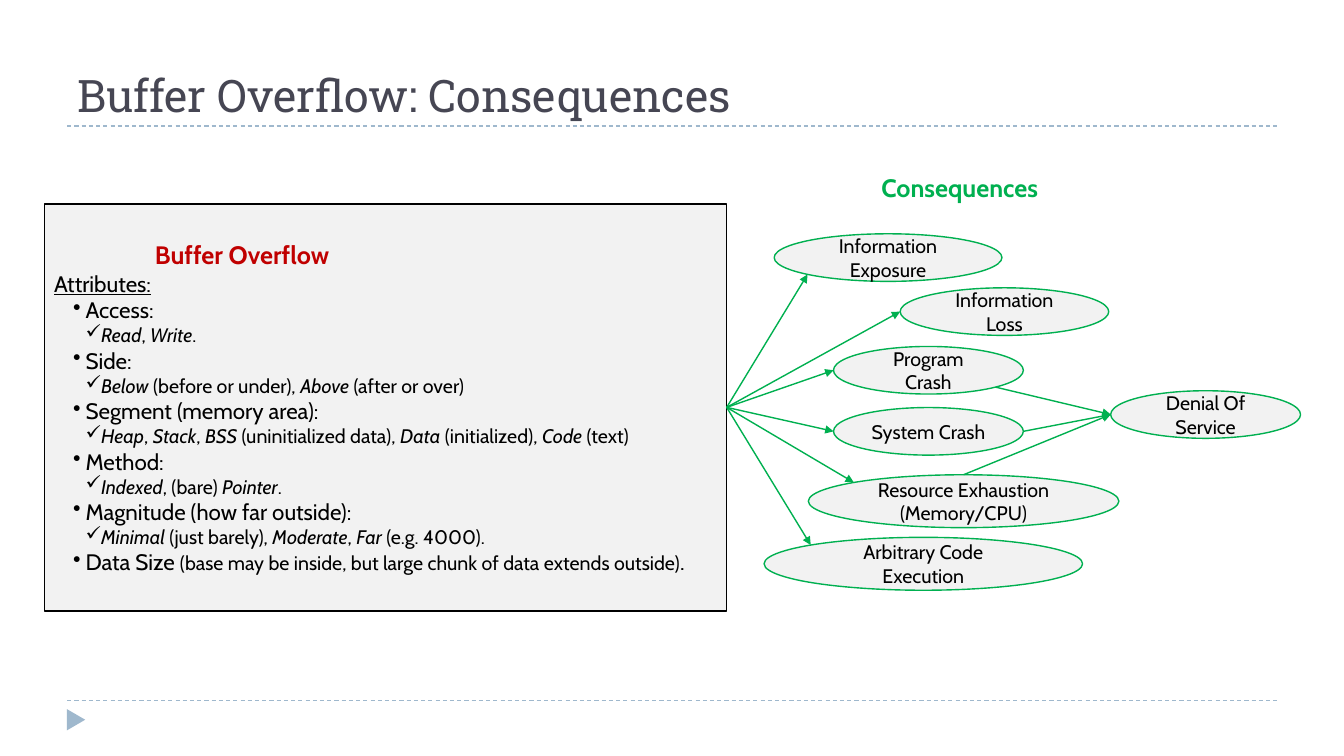
"""Build the slide on the attributes and consequences of a buffer overflow."""
from math import cos, radians, sin

from lxml.etree import SubElement
from pptx import Presentation
from pptx.dml.color import RGBColor
from pptx.enum.dml import MSO_LINE
from pptx.enum.shapes import MSO_CONNECTOR, MSO_SHAPE
from pptx.enum.text import MSO_ANCHOR, PP_ALIGN
from pptx.oxml.ns import qn
from pptx.util import Pt

COLORS = {
    "title": "464653", "rule": "9FB8CD", "panel": "F2F2F2",
    "text": "000000", "heading": "C00000", "effect": "00B050",
}


def rgb(name):
    return RGBColor.from_string(COLORS[name])


def write(p, text, size=14, color="text", font="Cabin", bold=False, underline=False):
    """Add text to a paragraph; parts between asterisks become italic."""
    for i, part in enumerate(text.split("*")):
        for j, line in enumerate(part.split("\n")):
            if j:
                p.add_line_break()
            if line:
                r = p.add_run()
                r.text = line
                r.font.name, r.font.size = font, Pt(size)
                r.font.bold, r.font.italic, r.font.underline = bold, i % 2 == 1, underline
                r.font.color.rgb = rgb(color)


prs = Presentation()
prs.slide_width, prs.slide_height = Pt(960), Pt(540)
s = prs.slides.add_slide(prs.slide_layouts[6])
shapes = s.shapes

for y in (500.4, 90):
    rule = shapes.add_connector(MSO_CONNECTOR.STRAIGHT, Pt(48), Pt(y), Pt(912), Pt(y))
    rule.line.color.rgb = rgb("rule")
    rule.line.width = Pt(0.75)
    rule.line.dash_style = MSO_LINE.DASH
    SubElement(rule.element.spPr, qn("a:effectLst"))

marker = shapes.add_shape(MSO_SHAPE.ISOSCELES_TRIANGLE, Pt(46.8), Pt(507.6), Pt(15.1), Pt(13))
marker.rotation = 90
marker.shadow.inherit = False
marker.fill.solid()
marker.fill.fore_color.rgb = rgb("rule")
marker.line.fill.background()

labels = [
    ("Buffer Overflow: Consequences", 48, 12.2, 864, 77.8, MSO_ANCHOR.BOTTOM,
     dict(size=32, color="title", font="Roboto Slab")),
    ("Consequences", 622.4, 119.9, 170, 41, MSO_ANCHOR.TOP,
     dict(size=18, color="effect", bold=True)),
]
for text, x, y, w, h, anchor, style in labels:
    tf = shapes.add_textbox(Pt(x), Pt(y), Pt(w), Pt(h)).text_frame
    tf.word_wrap = True
    tf.vertical_anchor = anchor
    write(tf.paragraphs[0], text, **style)

panel = shapes.add_shape(MSO_SHAPE.RECTANGLE, Pt(31.6), Pt(145.6), Pt(487.5), Pt(290.8))
panel.shadow.inherit = False
panel.fill.solid()
panel.fill.fore_color.rgb = rgb("panel")
panel.line.color.rgb = rgb("text")
panel.line.width = Pt(1)
tf = panel.text_frame
tf.word_wrap = True
tf.vertical_anchor = MSO_ANCHOR.MIDDLE
p = tf.paragraphs[0]
p.alignment = PP_ALIGN.LEFT
p._p.get_or_add_pPr().set("marL", str(Pt(72)))
write(p, "Buffer Overflow", size=18, color="heading", bold=True)
p = tf.add_paragraph()
p.alignment = PP_ALIGN.LEFT
write(p, "Attributes:", size=16, underline=True)

attributes = [
    ("Access:", "*Read*, *Write*."),
    ("Side:", "*Below* (before or under), *Above* (after or over)"),
    ("Segment (memory area):",
     "*Heap*, *Stack*, *BSS *(uninitialized data), *Data* (initialized), *Code* (text)"),
    ("Method:", "*Indexed*, (bare) *Pointer*."),
    ("Magnitude (how far outside):",
     "*Minimal* (just barely), *Moderate*, *Far* (e.g. 4000)."),
    ("Data Size ", None),
]
for name, values in attributes:
    for text, size, margin, bullet in ((name, 16, 22.5, "•"), (values, 14, 31.5, "✓")):
        if text:
            p = tf.add_paragraph()
            p.alignment = PP_ALIGN.LEFT
            pPr = p._p.get_or_add_pPr()
            pPr.set("marL", str(Pt(margin)))
            pPr.set("indent", str(Pt(-9)))
            SubElement(pPr, qn("a:buChar")).set("char", bullet)
            write(p, text, size=size)
write(p, "(base may be inside, but large chunk of data extends outside)")
write(p, ".", size=16)

effects = {
    "Resource Exhaustion\n(Memory/CPU)": (577.4, 339.1, 221.8, 37.8),
    "Information Exposure": (553, 167, 162.7, 34),
    "Information Loss": (643, 205.6, 149, 34),
    "Arbitrary Code Execution": (545.8, 383.8, 227.5, 37.8),
    "System Crash": (595.4, 291.1, 135.6, 34),
    "Program Crash": (595.4, 247.5, 135.6, 34),
    "Denial Of Service": (793.4, 279.1, 135.6, 34),
}
for text, box in effects.items():
    sp = shapes.add_shape(MSO_SHAPE.OVAL, *map(Pt, box))
    sp.shadow.inherit = False
    sp.fill.solid()
    sp.fill.fore_color.rgb = rgb("panel")
    sp.line.color.rgb = rgb("effect")
    sp.line.width = Pt(1)
    tf = sp.text_frame
    tf.word_wrap = True
    tf.vertical_anchor = MSO_ANCHOR.MIDDLE
    tf.paragraphs[0].alignment = PP_ALIGN.CENTER
    write(tf.paragraphs[0], text)

resource, exposure, loss, code, system, program, denial = effects.values()
source = (519.1, 291, 0, 0)
arrows = [
    (source, 0, resource, 225), (source, 0, loss, 180), (source, 0, exposure, 135),
    (source, 0, code, 225), (source, 0, system, 180), (source, 0, program, 180),
    (resource, 270, denial, 180), (program, 45, denial, 180), (system, 0, denial, 180),
]
for start, start_angle, end, end_angle in arrows:
    ends = []
    for (x, y, w, h), angle in ((start, start_angle), (end, end_angle)):
        ends.append(Pt(x + w / 2 * (1 + cos(radians(angle)))))
        ends.append(Pt(y + h / 2 * (1 + sin(radians(angle)))))
    arrow = shapes.add_connector(MSO_CONNECTOR.STRAIGHT, *ends)
    arrow.line.color.rgb = rgb("effect")
    arrow.line.width = Pt(1)
    SubElement(arrow.line._get_or_add_ln(), qn("a:tailEnd")).set("type", "triangle")
    SubElement(arrow.element.spPr, qn("a:effectLst"))

prs.save("out.pptx")
